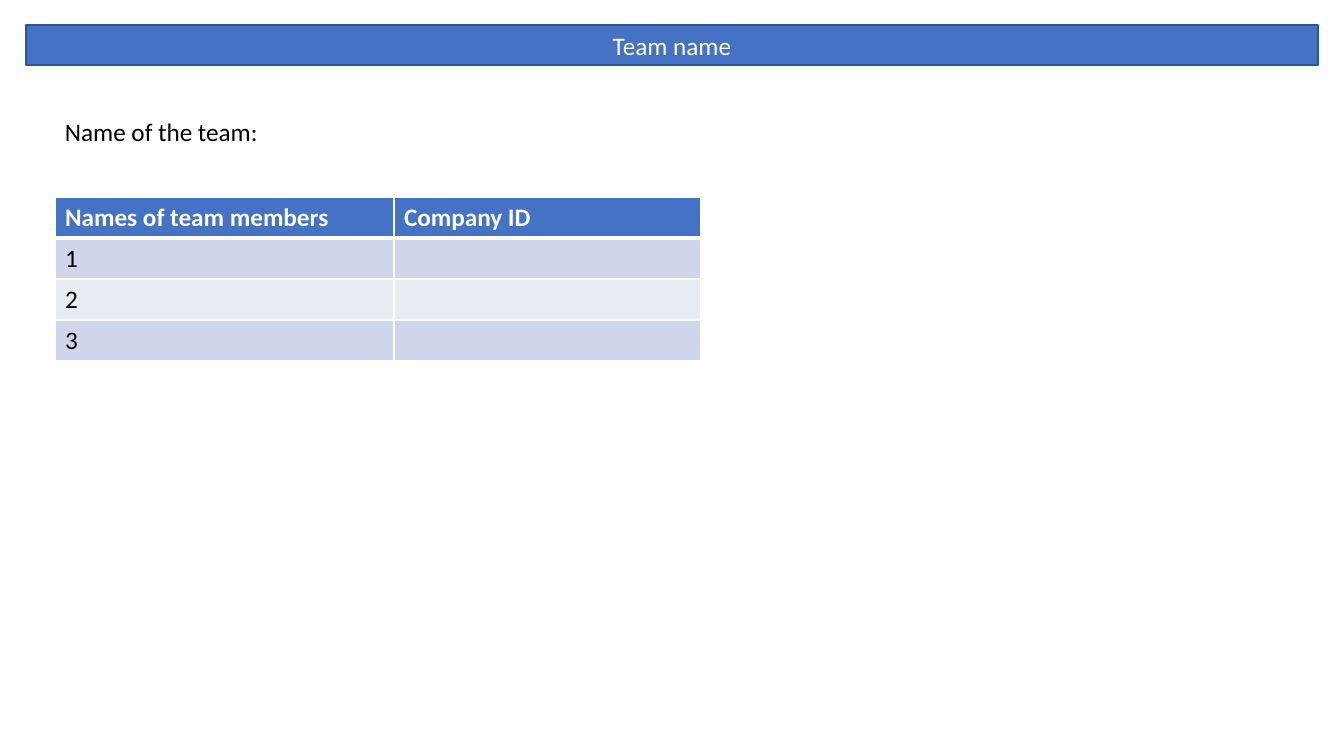
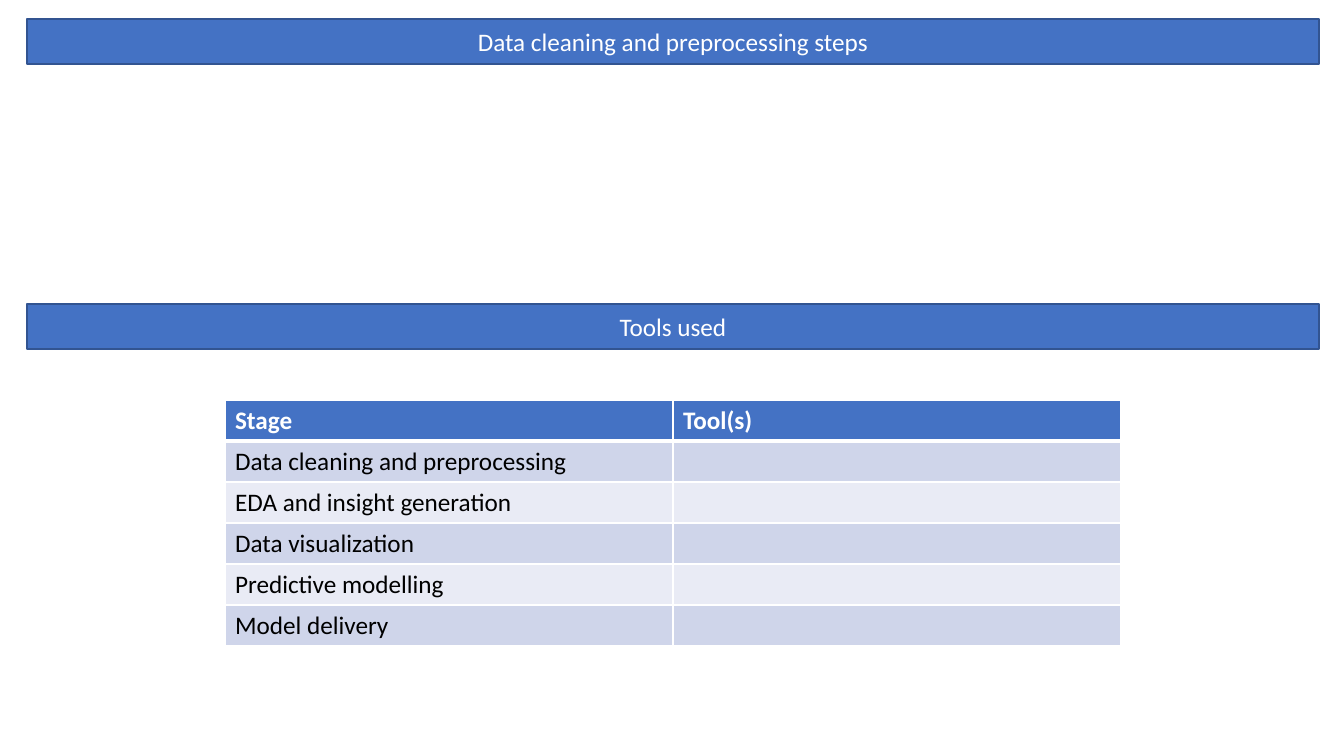
"""Build the team and data-preparation template slides."""
from dataclasses import dataclass

from lxml import etree
from pptx import Presentation, util as u
from pptx.dml.color import RGBColor
from pptx.enum import shapes, text
from pptx.oxml.ns import qn
from pptx.slide import Slide
from pptx.table import _Cell
from pptx.text.text import _Paragraph

EMU_PER_PIXEL = 914400 / 100.8
SLIDE_SIZE = (1344, 756)
ROW_HEIGHT = 41
FONT = "Calibri"
COLORS = {
    "blue": "4472C4",
    "outline": "325491",
    "odd_row": "CFD5EA",
    "even_row": "E9EBF5",
    "white": "FFFFFF",
    "black": "000000",
}


@dataclass(frozen=True)
class Band:
    """A full-width section heading."""

    title: str
    left: int
    top: int
    height: int
    width: int = 1292


@dataclass(frozen=True)
class FormTable:
    """A two-column table whose second column is left to fill in."""

    left: int
    top: int
    columns: tuple[int, int]
    headings: tuple[str, str]
    entries: tuple[str, ...]


@dataclass(frozen=True)
class Label:
    """A single line of plain text."""

    wording: str
    left: int
    top: int
    width: int
    height: int


@dataclass(frozen=True)
class Page:
    """Everything that stands on one slide."""

    bands: tuple[Band, ...]
    table: FormTable
    labels: tuple[Label, ...] = ()


PAGES = (
    Page(
        bands=(Band("Team name", 26, 25, 40),),
        table=FormTable(
            55, 197, (339, 307), ("Names of team members", "Company ID"), ("1", "2", "3")
        ),
        labels=(Label("Name of the team: ", 55, 111, 222, 41),),
    ),
    Page(
        bands=(
            Band("Data cleaning and preprocessing steps", 27, 19, 45),
            Band("Tools used", 27, 304, 45),
        ),
        table=FormTable(
            225,
            400,
            (448, 448),
            ("Stage", "Tool(s)"),
            (
                "Data cleaning and preprocessing",
                "EDA and insight generation",
                "Data visualization",
                "Predictive modelling",
                "Model delivery",
            ),
        ),
    ),
)


def px(pixels: int) -> u.Emu:
    """Turn pixels into EMU."""
    return u.Emu(round(pixels * EMU_PER_PIXEL))


def color(name: str) -> RGBColor:
    """Look up a named colour."""
    return RGBColor.from_string(COLORS[name])


def add_run(paragraph: _Paragraph, wording: str, ink: str, bold: bool = False) -> None:
    """Append one run in the shared text style."""
    run = paragraph.add_run()
    run.text = wording
    run.font.name = FONT
    run.font.size = u.Pt(18)
    run.font.bold = bold
    run.font.color.rgb = color(ink)


def draw_band(slide: Slide, band: Band) -> None:
    """Draw a section heading."""
    bar = slide.shapes.add_shape(
        shapes.MSO_SHAPE.RECTANGLE,
        px(band.left), px(band.top), px(band.width), px(band.height),
    )
    bar.shadow.inherit = False
    bar.fill.solid()
    bar.fill.fore_color.rgb = color("blue")
    bar.line.color.rgb = color("outline")
    bar.line.width = u.Pt(1)
    bar.text_frame.vertical_anchor = text.MSO_ANCHOR.MIDDLE
    heading = bar.text_frame.paragraphs[0]
    heading.alignment = text.PP_ALIGN.CENTER
    add_run(heading, band.title, "white")


def draw_label(slide: Slide, label: Label) -> None:
    """Draw a line of plain text."""
    box = slide.shapes.add_textbox(
        px(label.left), px(label.top), px(label.width), px(label.height)
    )
    box.text_frame.word_wrap = False
    box.text_frame.auto_size = text.MSO_AUTO_SIZE.SHAPE_TO_FIT_TEXT
    add_run(box.text_frame.paragraphs[0], label.wording, "black")


def set_borders(cell: _Cell, top: int, bottom: int) -> None:
    """Rule a cell in white, with the given top and bottom widths in points."""
    properties = cell._tc.get_or_add_tcPr()
    for side, points in (("L", 1), ("R", 1), ("T", top), ("B", bottom)):
        rule = etree.SubElement(properties, qn(f"a:ln{side}"), w=str(u.Pt(points)))
        fill = etree.SubElement(rule, qn("a:solidFill"))
        etree.SubElement(fill, qn("a:srgbClr"), val=COLORS["white"])


def draw_table(slide: Slide, form: FormTable) -> None:
    """Draw a table with a heading row and banded entries."""
    rows = (form.headings, *((entry, "") for entry in form.entries))
    table = slide.shapes.add_table(
        len(rows), len(form.columns), px(form.left), px(form.top),
        px(sum(form.columns)), px(ROW_HEIGHT * len(rows)),
    ).table
    for column, width in zip(table.columns, form.columns):
        column.width = px(width)
    for row_index, row in enumerate(rows):
        is_heading = row_index == 0
        band = "blue" if is_heading else "odd_row" if row_index % 2 else "even_row"
        for column_index, wording in enumerate(row):
            cell = table.cell(row_index, column_index)
            set_borders(cell, 3 if row_index == 1 else 1, 3 if is_heading else 1)
            cell.fill.solid()
            cell.fill.fore_color.rgb = color(band)
            if wording:
                ink = "white" if is_heading else "black"
                add_run(cell.text_frame.paragraphs[0], wording, ink, is_heading)


def main() -> None:
    """Build and save the presentation."""
    deck = Presentation()
    deck.slide_width, deck.slide_height = map(px, SLIDE_SIZE)
    for page in PAGES:
        slide = deck.slides.add_slide(deck.slide_layouts[6])
        for band in page.bands:
            draw_band(slide, band)
        draw_table(slide, page.table)
        for label in page.labels:
            draw_label(slide, label)
    deck.save("out.pptx")


main()
